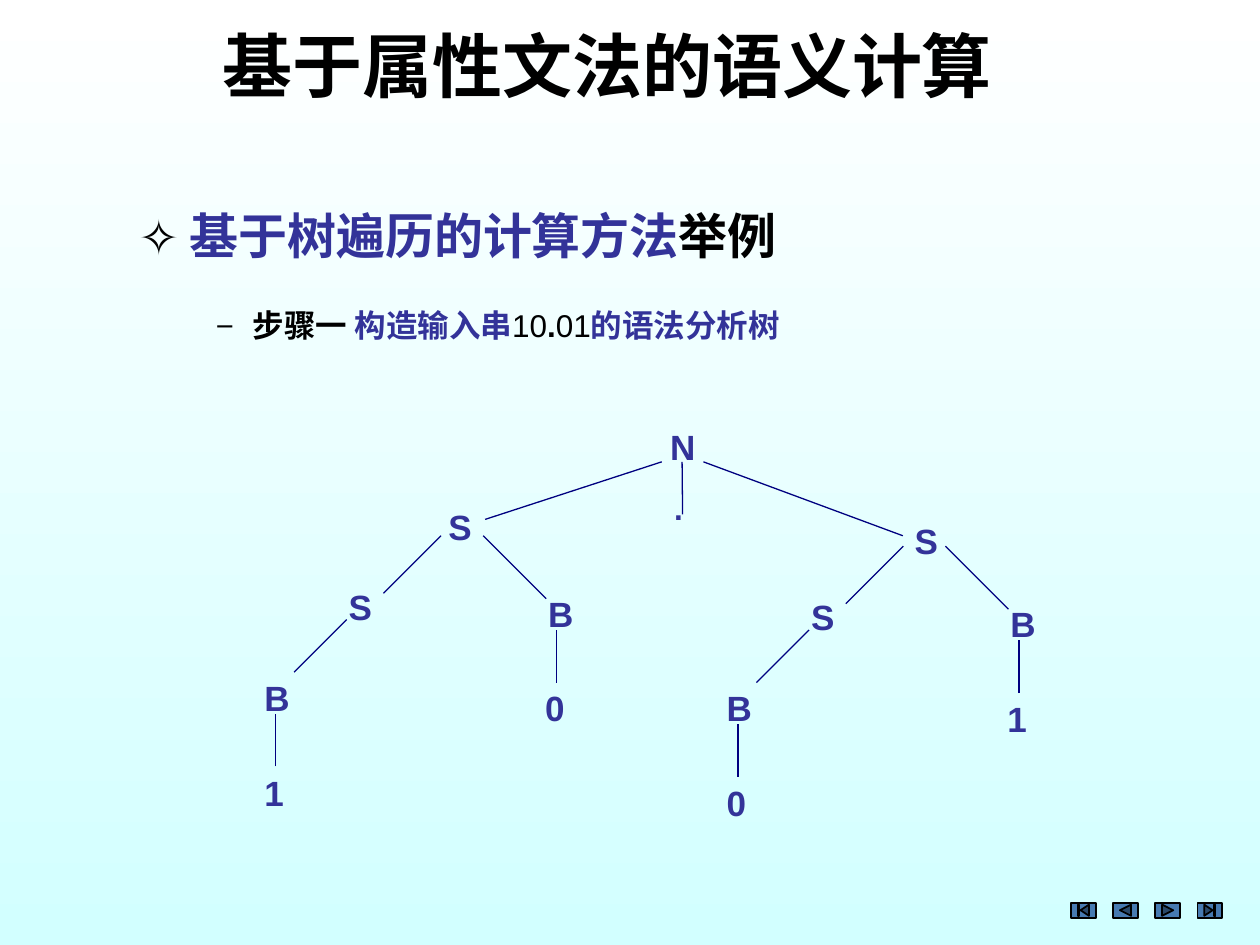
from typing import NamedTuple

from lxml.etree import SubElement
from pptx import Presentation
from pptx.dml.color import RGBColor
from pptx.enum.shapes import MSO_CONNECTOR, MSO_SHAPE
from pptx.oxml.ns import qn
from pptx.util import Cm, Pt

COLORS = {
    "top": "FFFFFF",
    "bottom": "D2FFFF",
    "text": "000000",
    "accent": "333399",
    "edge": "000080",
    "button": "477AB1",
}
CJK = "Noto Sans CJK SC"


class Span(NamedTuple):
    text: str
    color: str = "text"
    font: str = "Arial"
    bold: bool = True


class Node(NamedTuple):
    text: str
    x: float
    y: float
    w: float = 1.0
    size: int = 20


class Edge(NamedTuple):
    x1: float
    y1: float
    x2: float
    y2: float


def rgb(name: str) -> RGBColor:
    return RGBColor.from_string(COLORS[name])


def add_text(s, x: float, y: float, w: float, h: float, size: int,
             spans: list[Span], bullet: str = "", indent: float = 0):
    """Add a one-line text box, with a hanging bullet if one is given."""
    tf = s.shapes.add_textbox(Cm(x), Cm(y), Cm(w), Cm(h)).text_frame
    tf.word_wrap = True
    p = tf.paragraphs[0]
    if bullet:
        pPr = p._p.get_or_add_pPr()
        pPr.set("marL", str(Cm(indent)))
        pPr.set("indent", str(-Cm(indent)))
        clr = SubElement(pPr, qn("a:buClr"))
        SubElement(clr, qn("a:srgbClr"), val=COLORS["text"])
        SubElement(pPr, qn("a:buFont"), typeface=CJK)
        SubElement(pPr, qn("a:buChar"), char=bullet)
    for span in spans:
        r = p.add_run()
        r.text = span.text
        r.font.size = Pt(size)
        r.font.bold = span.bold
        r.font.name = span.font
        r.font.color.rgb = rgb(span.color)
        SubElement(r._r.get_or_add_rPr(), qn("a:ea"), typeface=CJK)
    return p


def add_edge(s, edge: Edge, dx: float = 0, dy: float = 0) -> None:
    line = s.shapes.add_connector(
        MSO_CONNECTOR.STRAIGHT, Cm(edge.x1 + dx), Cm(edge.y1 + dy),
        Cm(edge.x2 + dx), Cm(edge.y2 + dy))
    line.line.color.rgb = rgb("edge")
    line.line.width = Pt(0.75)
    SubElement(line._element.spPr, qn("a:effectLst"))


def add_tree(s, nodes: list[Node], edges: list[Edge],
             dx: float = 0, dy: float = 0) -> None:
    for edge in edges:
        add_edge(s, edge, dx, dy)
    for n in nodes:
        add_text(s, n.x + dx, n.y + dy, n.w, 1.12, n.size,
                 [Span(n.text, "accent")])


def add_button(s, kind: MSO_SHAPE, x: float) -> None:
    sp = s.shapes.add_shape(kind, Cm(x), Cm(18.2), Cm(0.5), Cm(0.3))
    sp.shadow.inherit = False
    sp.fill.solid()
    sp.fill.fore_color.rgb = rgb("button")
    sp.line.color.rgb = rgb("text")
    sp.line.width = Pt(1)


# Top of the parse tree
TOP_NODES = [
    Node("N", 13.26, 8.46, 1.14),
    Node(".", 13.34, 9.73, 0.86, 18),
    Node("S", 8.79, 10.06),
    Node("S", 18.19, 10.34),
]
TOP_EDGES = [
    Edge(18.2, 10.8, 14.18, 9.31),
    Edge(9.78, 10.47, 13.34, 9.31),
    Edge(13.76, 10.37, 13.75, 9.31),
]

# Branches below an S, the same on both sides but for the leaf digits
BRANCH_EDGES = [
    Edge(11.01, 12.07, 9.74, 10.8),
    Edge(7.73, 11.96, 8.89, 10.8),
    Edge(5.93, 13.55, 6.99, 12.49),
    Edge(11.22, 13.76, 11.22, 12.7),
    Edge(5.56, 15.45, 5.56, 14.39),
]


def branch_nodes(left_digit: str, right_digit: str) -> list[Node]:
    return [
        Node("S", 6.78, 11.68),
        Node("B", 10.8, 11.81),
        Node(right_digit, 10.74, 13.72),
        Node("B", 5.08, 13.51),
        Node(left_digit, 5.08, 15.42),
    ]


def main() -> None:
    prs = Presentation()
    prs.slide_width, prs.slide_height = Cm(25.4), Cm(19.05)
    s = prs.slides.add_slide(prs.slide_layouts[6])

    # Background, light at the top
    fill = s.background.fill
    fill.gradient()
    fill.gradient_angle = 270
    for stop, name in zip(fill.gradient_stops, ("top", "bottom")):
        stop.color.rgb = rgb(name)

    # Title and bullets
    title = add_text(s, 4.24, 0.53, 16.23, 1.78, 40,
                     [Span("基于属性文法的语义计算")])
    title.line_spacing = 0.9
    add_text(s, 2.54, 4.01, 22.43, 1.45, 28, [
        Span("基于树遍历的计算方法", "accent", "Times New Roman"),
        Span("举例", font=CJK),
    ], "✧", 1.03)
    add_text(s, 4.11, 6.05, 19.99, 1.02, 18, [
        Span("步骤一 ", font="Times New Roman"),
        Span("构造输入串", "accent", "Times New Roman"),
        Span("10", bold=False),
        Span("."),
        Span("01", bold=False),
        Span("的语法分析树", "accent", "Times New Roman"),
    ], "−", 0.74)

    # Parse tree of 10.01
    add_tree(s, TOP_NODES, TOP_EDGES)
    add_tree(s, branch_nodes("1", "0"), BRANCH_EDGES)
    add_tree(s, branch_nodes("0", "1"), BRANCH_EDGES, 9.32, 0.21)

    # Navigation buttons
    kinds = (MSO_SHAPE.ACTION_BUTTON_BEGINNING,
             MSO_SHAPE.ACTION_BUTTON_BACK_OR_PREVIOUS,
             MSO_SHAPE.ACTION_BUTTON_FORWARD_OR_NEXT,
             MSO_SHAPE.ACTION_BUTTON_END)
    for i, kind in enumerate(kinds):
        add_button(s, kind, 21.59 + 0.85 * i)

    prs.save("out.pptx")


if __name__ == "__main__":
    main()
